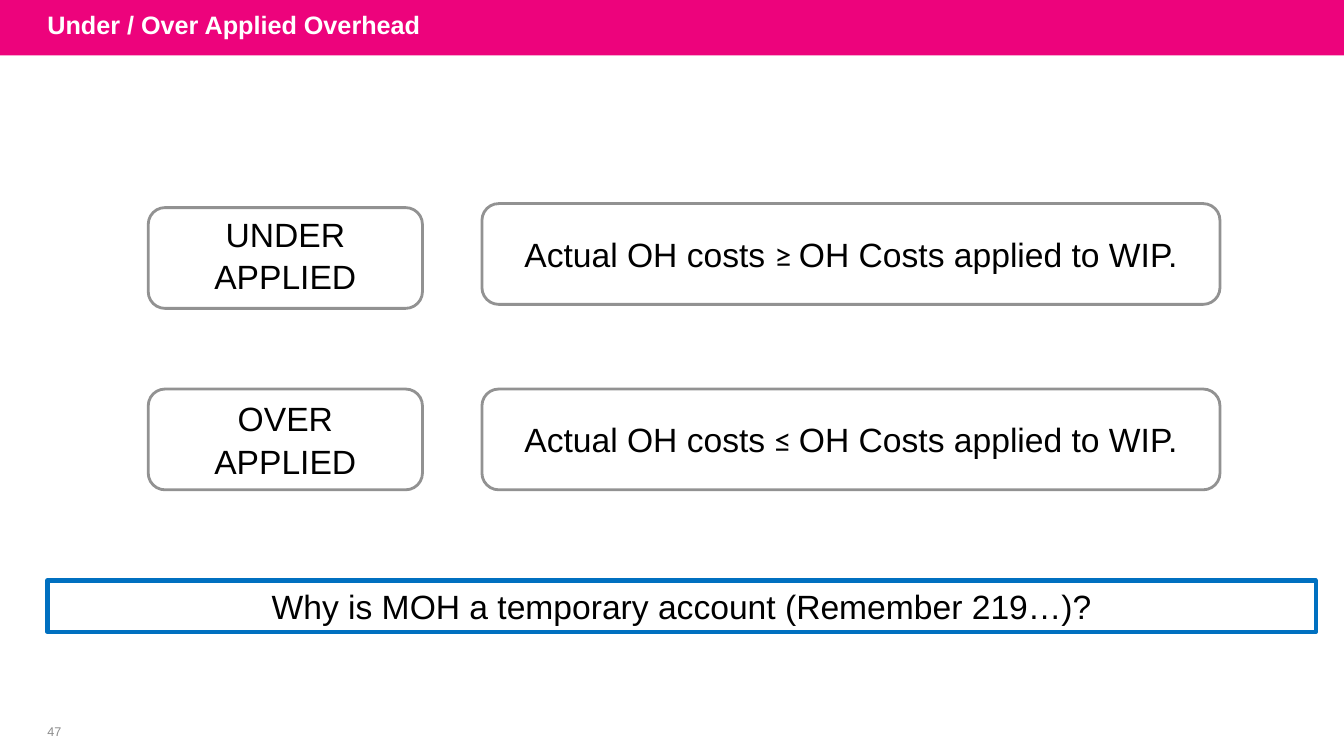
from dataclasses import dataclass

from pptx import Presentation
from pptx import util as u
from pptx.dml.color import RGBColor
from pptx.enum import shapes, text

PINK = RGBColor(0xED, 0x03, 0x7C)
GRAY = RGBColor(0x92, 0x92, 0x92)
PALE = RGBColor(0x8C, 0x8C, 0x8C)
BLUE = RGBColor(0x00, 0x70, 0xC0)
BLACK = RGBColor(0, 0, 0)
WHITE = RGBColor(0xFF, 0xFF, 0xFF)

BODY = {"size": u.Pt(24), "bold": False, "name": "Arial"}
TITLE = {"size": u.Pt(18), "bold": True, "name": "Arial"}
SMALL = {"size": u.Pt(9), "bold": False, "name": "Arial"}
SIGN = {**BODY, "name": "Calibri"}
FRAME = {
    "margin_left": 0,
    "margin_right": 0,
    "margin_top": 0,
    "margin_bottom": 0,
    "word_wrap": True,
    "vertical_anchor": text.MSO_ANCHOR.MIDDLE,
}
SIGNS = "≥≤"
ROUND = shapes.MSO_SHAPE.ROUNDED_RECTANGLE
RECT = shapes.MSO_SHAPE.RECTANGLE


@dataclass
class Box:
    left: float
    top: float
    width: float
    height: float
    lines: tuple[str, ...]
    kind: int = ROUND
    color: RGBColor = GRAY
    weight: float = 2
    lift: float = 0


def apply(target: object, form: dict) -> None:
    for name, value in form.items():
        setattr(target, name, value)


def place(shape, left: float, top: float, width: float, height: float) -> None:
    spots = {"left": left, "top": top, "width": width, "height": height}
    apply(shape, {name: u.Inches(value) for name, value in spots.items()})


def add_run(para, words: str, form: dict, color: RGBColor) -> None:
    run = para.add_run()
    run.text = words
    apply(run.font, form)
    run.font.color.rgb = color


def add_line(para, words: str) -> None:
    para.alignment = text.PP_ALIGN.CENTER
    for sign in SIGNS:
        if sign in words:
            before, after = words.split(f"{sign} ")
            add_run(para, before, BODY, BLACK)
            add_run(para, f"{sign} ", SIGN, BLACK)
            add_run(para, after, BODY, BLACK)
            return
    add_run(para, words, BODY, BLACK)


def add_box(slide, box: Box) -> None:
    shape = slide.shapes.add_shape(box.kind, 0, 0, 0, 0)
    place(shape, box.left, box.top, box.width, box.height)
    shape.shadow.inherit = False
    shape.fill.background()
    shape.line.color.rgb = box.color
    shape.line.width = u.Pt(box.weight)
    frame = shape.text_frame
    apply(frame, {**FRAME, "margin_bottom": u.Inches(box.lift)})
    for index, words in enumerate(box.lines):
        para = frame.add_paragraph() if index else frame.paragraphs[0]
        if index:
            para.space_before = u.Pt(1.5)
        add_line(para, words)


def add_band(slide) -> None:
    band = slide.shapes.add_shape(RECT, 0, 0, u.Inches(13.33), u.Inches(0.55))
    band.shadow.inherit = False
    band.fill.solid()
    band.fill.fore_color.rgb = PINK
    band.line.fill.background()


def add_title(slide, words: str) -> None:
    title = slide.shapes.title
    place(title, 0.37, -0.03, 10.5, 0.55)
    tree = title.element.getparent()
    tree.append(title.element)
    apply(title.text_frame, {**FRAME, "margin_left": u.Inches(0.1)})
    para = title.text_frame.paragraphs[0]
    apply(para, {"alignment": text.PP_ALIGN.LEFT, "space_before": u.Pt(3)})
    add_run(para, words, TITLE, WHITE)


def add_page(slide, words: str) -> None:
    page = slide.shapes.add_textbox(0, 0, 0, 0)
    place(page, 0.28, 7.14, 0.52, 0.24)
    apply(page.text_frame, FRAME)
    para = page.text_frame.paragraphs[0]
    para.alignment = text.PP_ALIGN.CENTER
    add_run(para, words, SMALL, PALE)


BOXES = (
    Box(1.47, 2.06, 2.72, 1, ("UNDER", "APPLIED"), lift=0.06),
    Box(1.47, 3.86, 2.72, 1, ("OVER", "APPLIED")),
    Box(4.78, 2.02, 7.32, 1, ("Actual OH costs ≥ OH Costs applied to WIP.",)),
    Box(4.78, 3.86, 7.32, 1, ("Actual OH costs ≤ OH Costs applied to WIP.",)),
    Box(0.47, 5.76, 12.58, 0.51,
        ("Why is MOH a temporary account (Remember 219…)?",), RECT, BLUE, 3),
)


def main() -> None:
    deck = Presentation()
    deck.slide_width = u.Inches(13.33)
    deck.slide_height = u.Inches(7.5)
    slide = deck.slides.add_slide(deck.slide_layouts[5])
    add_band(slide)
    add_title(slide, "Under / Over Applied Overhead")
    for box in BOXES:
        add_box(slide, box)
    add_page(slide, "47")
    deck.save("out.pptx")


if __name__ == "__main__":
    main()
